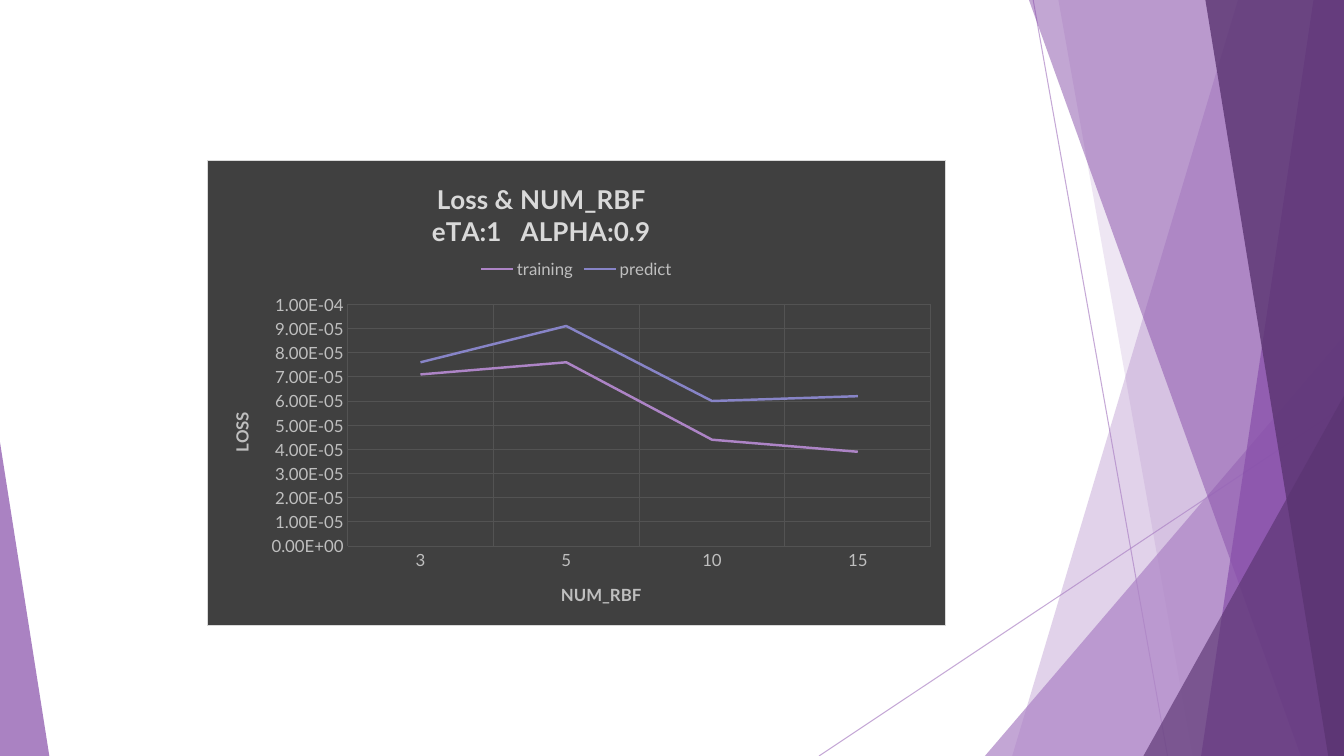
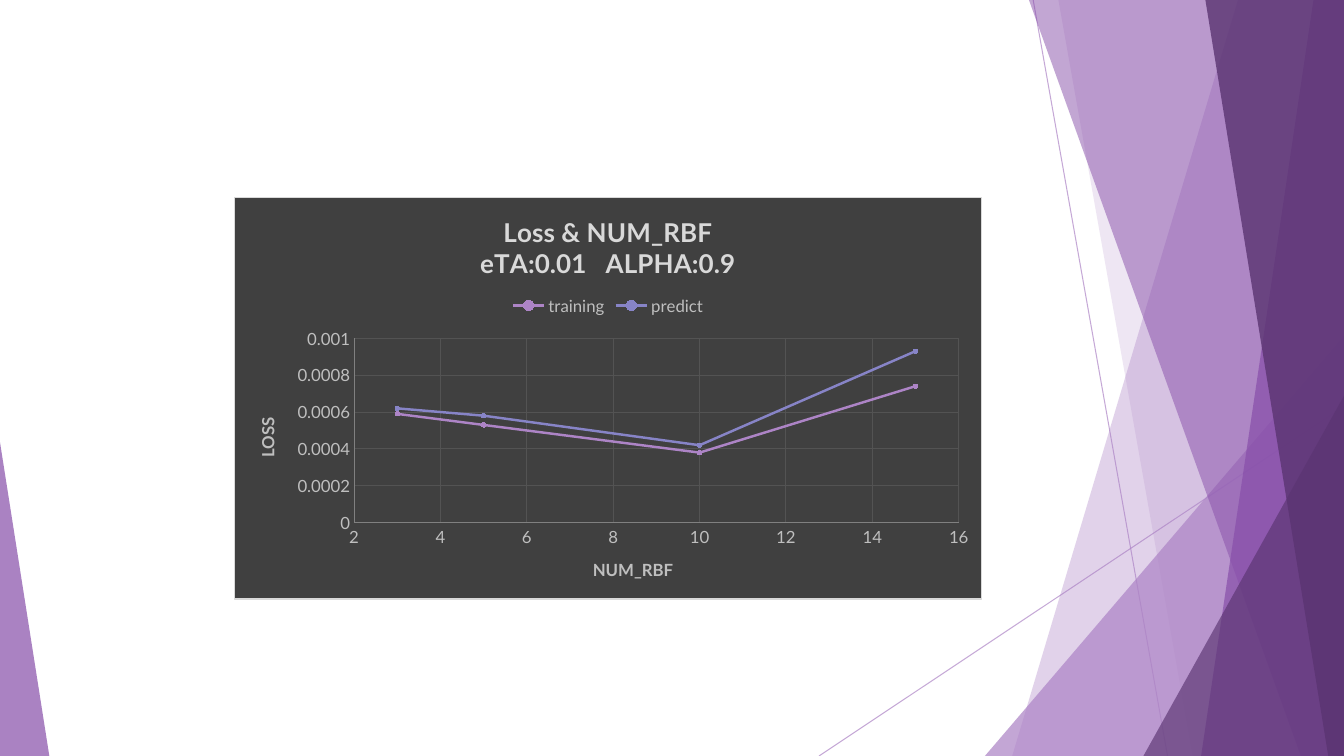
from pptx import Presentation
from pptx.chart.data import CategoryChartData, XyChartData
from pptx.dml.color import RGBColor
from pptx.enum.chart import XL_CHART_TYPE, XL_LEGEND_POSITION, XL_MARKER_STYLE, XL_TICK_MARK
from pptx.enum.shapes import MSO_CONNECTOR, MSO_SHAPE
from pptx.oxml import parse_xml
from pptx.oxml.ns import nsdecls, qn
from pptx.util import Pt

LINE_CHART = XL_CHART_TYPE.LINE
SCATTER_CHART = XL_CHART_TYPE.XY_SCATTER_LINES
LEGEND_TOP = XL_LEGEND_POSITION.TOP
CIRCLE = XL_MARKER_STYLE.CIRCLE
NO_TICK = XL_TICK_MARK.NONE
STRAIGHT = MSO_CONNECTOR.STRAIGHT
TRIANGLE = MSO_SHAPE.ISOSCELES_TRIANGLE

EMU_PER_PX = 9525
WIDTH, HEIGHT = 1280, 720
FONT = "Lato"
LILAC, PURPLE, PLUM = "AD84C6", "874EA9", "5A3471"
PERIWINKLE = "8784C7"
CHARCOAL, GRID, AXIS, LABEL, HEADING, BORDER = (
    "404040", "535353", "808080", "BFBFBF", "D9D9D9", "D9D9D9")

RAYS = [((984, 0), (1112, 720)), ((1280, 387), (780, 720))]
BACK_PANELS = [(1179, 964, LILAC, 36), (1008, 1136, LILAC, 20)]
FRONT_PANELS = [(980, 1239, PURPLE, 50), (1251, 1144, PURPLE, 70), (1148, 1265, PLUM, 80)]


def px(length):
    return length * EMU_PER_PX


def rgb(value):
    return RGBColor.from_string(value)


def set_opacity(shape, percent):
    for color in shape.element.xpath("./p:spPr//a:srgbClr"):
        color.append(parse_xml(f'<a:alpha {nsdecls("a")} val="{percent * 1000}"/>'))


def paint(shape, color, opacity):
    shape.shadow.inherit = False
    shape.fill.solid()
    shape.fill.fore_color.rgb = rgb(color)
    shape.line.fill.background()
    set_opacity(shape, opacity)


def add_ray(slide, start, end):
    ray = slide.shapes.add_connector(STRAIGHT, *map(px, start + end))
    ray.line.color.rgb = rgb(LILAC)
    ray.line.width = Pt(0.75)
    set_opacity(ray, 70)
    ray.element.spPr.append(parse_xml(f'<a:effectLst {nsdecls("a")}/>'))


def add_panel(slide, top_x, bottom_x, color, opacity):
    outline = slide.shapes.build_freeform(px(top_x), 0)
    corners = [(WIDTH, 0), (WIDTH, HEIGHT), (bottom_x, HEIGHT)]
    outline.add_line_segments([(px(x), px(y)) for x, y in corners], close=True)
    paint(outline.convert_to_shape(), color, opacity)


def add_corner(slide, left, top, width, apex, color, opacity):
    corner = slide.shapes.add_shape(
        TRIANGLE, px(left), px(top), px(width), px(HEIGHT - top))
    corner.adjustments[0] = apex
    paint(corner, color, opacity)


def draw_backdrop(slide):
    for start, end in RAYS:
        add_ray(slide, start, end)
    for panel in BACK_PANELS:
        add_panel(slide, *panel)
    add_corner(slide, 938, 320, 342, 1, LILAC, 72)
    for panel in FRONT_PANELS:
        add_panel(slide, *panel)
    add_corner(slide, 1089, 377, 191, 1, PLUM, 66)
    add_corner(slide, 0, 421, 47, 0, PURPLE, 70)


def share_backdrop(slide):
    layout = slide.slide_layout
    for placeholder in list(layout.placeholders):
        placeholder.element.getparent().remove(placeholder.element)
    draw_backdrop(slide)
    for shape in list(slide.shapes):
        layout.shapes.element.append(shape.element)


def style_font(font, size, color, bold=False):
    font.name = FONT
    font.size = Pt(size)
    font.bold = bold
    font.color.rgb = rgb(color)


def write_lines(frame, lines, size, color):
    for index, line in enumerate(lines):
        paragraph = frame.add_paragraph() if index else frame.paragraphs[0]
        run = paragraph.add_run()
        run.text = line
        style_font(run.font, size, color, bold=True)


def place_inside(parent, index, **fractions):
    for layout in parent.findall(qn("c:layout")):
        parent.remove(layout)
    target = '<c:layoutTarget val="inner"/>' if "w" in fractions else ""
    values = "".join(f'<c:{key} val="{value}"/>' for key, value in fractions.items())
    parent.insert(index, parse_xml(
        f'<c:layout {nsdecls("c")}><c:manualLayout>{target}'
        f'<c:xMode val="edge"/><c:yMode val="edge"/>{values}'
        '</c:manualLayout></c:layout>'))


def fill_chart_area(chart):
    chart.element.find(qn("c:chart")).addnext(parse_xml(
        f'<c:spPr {nsdecls("c", "a")}>'
        f'<a:solidFill><a:srgbClr val="{CHARCOAL}"/></a:solidFill>'
        f'<a:ln w="{Pt(0.75)}"><a:solidFill><a:srgbClr val="{BORDER}"/></a:solidFill></a:ln>'
        '</c:spPr>'))


def style_axis(axis, title, line_color):
    axis.major_tick_mark = axis.minor_tick_mark = NO_TICK
    axis.has_major_gridlines = True
    grid = axis.major_gridlines.format.line
    grid.color.rgb = rgb(GRID)
    grid.width = Pt(0.75)
    if line_color:
        axis.format.line.color.rgb = rgb(line_color)
        axis.format.line.width = Pt(0.75)
    else:
        axis.format.line.fill.background()
    style_font(axis.tick_labels.font, 12, LABEL)
    write_lines(axis.axis_title.text_frame, [title], 12, LABEL)


def set_scale(axis, low, high, step, number_format="General"):
    axis.minimum_scale = low
    axis.maximum_scale = high
    axis.major_unit = step
    axis.tick_labels.number_format = number_format
    axis.tick_labels.number_format_is_linked = False


def style_series(series, color, with_markers):
    series.smooth = False
    series.format.line.color.rgb = rgb(color)
    series.format.line.width = Pt(1.75)
    if with_markers:
        series.marker.style = CIRCLE
        series.marker.size = 3
        series.marker.format.fill.solid()
        series.marker.format.fill.fore_color.rgb = rgb(color)
        series.marker.format.line.color.rgb = rgb(color)


def add_loss_chart(slide, kind, data, box, settings, plot_area, axis_color=None):
    chart = slide.shapes.add_chart(kind, *map(px, box), data).chart
    style_font(chart.font, 10, "000000")
    fill_chart_area(chart)
    chart.has_title = True
    write_lines(chart.chart_title.text_frame, ["Loss & NUM_RBF", settings], 18.6, HEADING)
    chart.chart_title.include_in_layout = False
    chart.has_legend = True
    chart.legend.position = LEGEND_TOP
    chart.legend.include_in_layout = False
    style_font(chart.legend.font, 12, LABEL)
    style_axis(chart.category_axis, "NUM_RBF", axis_color)
    style_axis(chart.value_axis, "LOSS", axis_color)
    chart.value_axis.axis_title.text_frame._txBody.bodyPr.set("rot", "-5400000")
    plot = chart.plots[0]
    plot.vary_by_categories = False
    for series, color in zip(plot.series, (LILAC, PERIWINKLE)):
        style_series(series, color, kind == SCATTER_CHART)
    x, y, w, h = plot_area
    place_inside(chart.element.find(".//" + qn("c:plotArea")), 0, x=x, y=y, w=w, h=h)
    return chart


def add_fast_rate_chart(slide):
    data = CategoryChartData(number_format="0.00E+00")
    data.categories = ["3", "5", "10", "15"]
    data.add_series("training", (7.1e-05, 7.6e-05, 4.4e-05, 3.9e-05))
    data.add_series("predict", (7.6e-05, 9.1e-05, 6e-05, 6.2e-05))
    chart = add_loss_chart(slide, LINE_CHART, data, (197, 152, 704, 444),
                           "eTA:1   ALPHA:0.9", (0.19, 0.31, 0.79, 0.52))
    set_scale(chart.value_axis, 0, 1e-04, 1e-05, "0.00E+00")
    place_inside(chart.element.find(qn("c:chart")).find(qn("c:title")), 1, x=0.3, y=0.04)


def add_slow_rate_chart(slide):
    losses = {
        "training": (0.00059, 0.00053, 0.00038, 0.00074),
        "predict": (0.00062, 0.00058, 0.00042, 0.00093),
    }
    data = XyChartData()
    for name, values in losses.items():
        series = data.add_series(name)
        for count, loss in zip((3, 5, 10, 15), values):
            series.add_data_point(count, loss)
    chart = add_loss_chart(slide, SCATTER_CHART, data, (223, 188, 712, 383),
                           "eTA:0.01   ALPHA:0.9", (0.16, 0.35, 0.81, 0.46), AXIS)
    set_scale(chart.category_axis, 2, 16, 2)
    set_scale(chart.value_axis, 0, 0.001, 0.0002)


def main():
    deck = Presentation()
    deck.slide_width, deck.slide_height = px(WIDTH), px(HEIGHT)
    blank = deck.slide_layouts[6]
    fast_rate, slow_rate = [deck.slides.add_slide(blank) for _ in range(2)]
    share_backdrop(fast_rate)
    add_fast_rate_chart(fast_rate)
    add_slow_rate_chart(slow_rate)
    deck.save("out.pptx")


if __name__ == "__main__":
    main()
